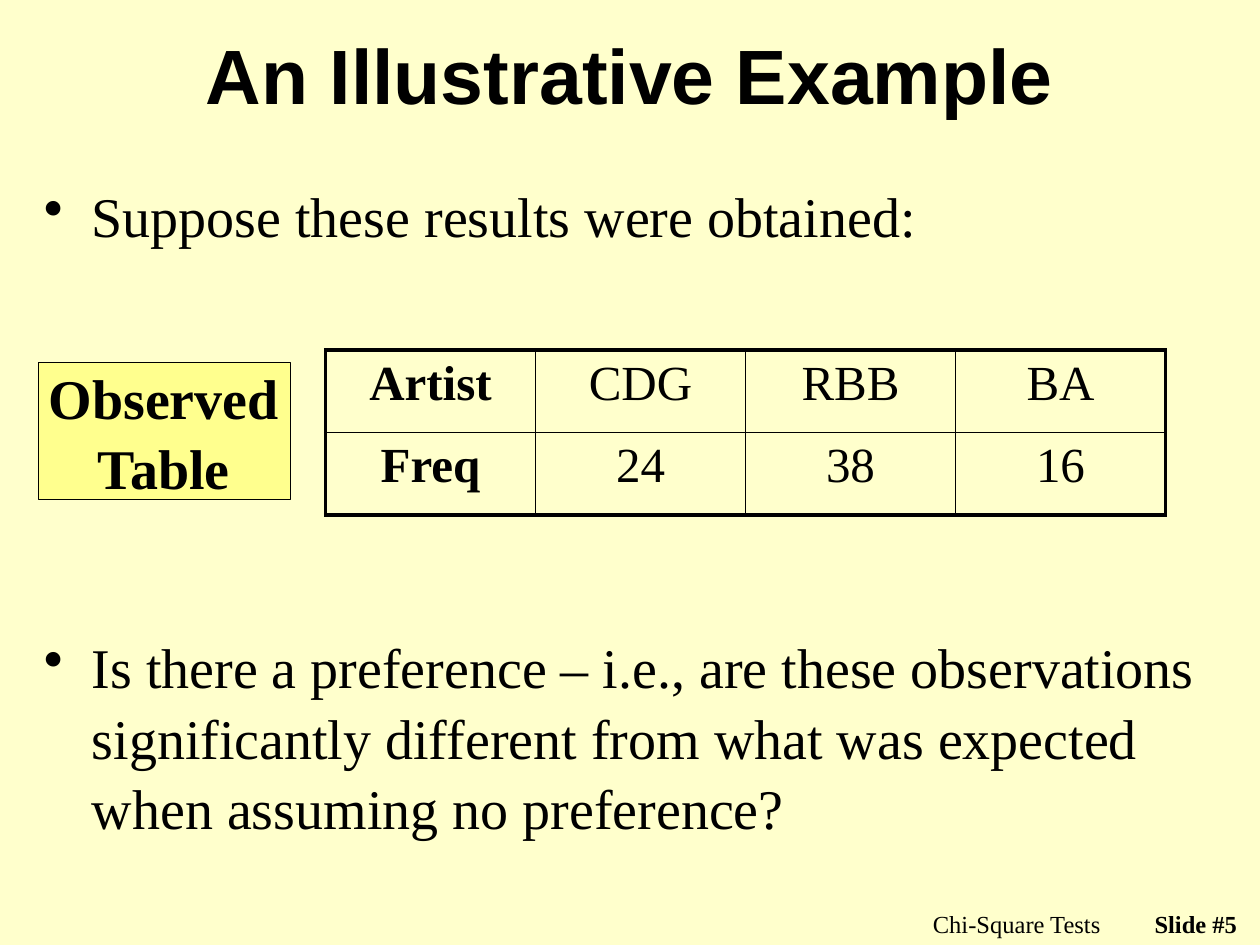
import pptx
import pptx.util
import pptx.dml.color
import pptx.enum.shapes
import pptx.enum.text
import pptx.oxml
import pptx.oxml.ns

HUES = {"page": "FFFFCC", "ink": "000000", "label": "FFFF00"}
ALIGN = pptx.enum.text.PP_ALIGN
ANCHOR = pptx.enum.text.MSO_ANCHOR
NS = pptx.oxml.ns.nsdecls("a")
SERIF = "Times New Roman"

deck = pptx.Presentation()
deck.slide_width = pptx.util.Inches(10)
deck.slide_height = pptx.util.Inches(7.5)
UNIT = deck.slide_width / 120  # the grid has 120 columns and 90 rows


def rgb(name):
    return pptx.dml.color.RGBColor.from_string(HUES[name])


def write(frame, lines, size, align, bold=False, face=SERIF, **form):
    """Fill a text frame; extra values format each paragraph."""
    for i, line in enumerate(lines):
        para = frame.paragraphs[0] if i == 0 else frame.add_paragraph()
        para.text = line
        para.alignment = align
        for key, val in form.items():
            setattr(para, key, val)
        font = para.runs[0].font
        looks = {"name": face, "size": pptx.util.Pt(size), "bold": bold}
        for key, val in looks.items():
            setattr(font, key, val)
        font.color.rgb = rgb("ink")


slide = deck.slides.add_slide(deck.slide_layouts[5])
slide.background.fill.solid()
slide.background.fill.fore_color.rgb = rgb("page")
shapes = slide.shapes

# Title
title = shapes.title
spots = {"left": 9, "top": 2, "width": 102, "height": 10}
for key, val in spots.items():
    setattr(title, key, int(val * UNIT))
title.text_frame.vertical_anchor = ANCHOR.MIDDLE
write(title.text_frame, ["An Illustrative Example"], 44, ALIGN.CENTER,
      True, "Arial")

# Footer
for text, bold, grid in [("Chi-Square Tests", False, (68, 86, 38, 3)),
                         ("Slide #5", True, (106, 86, 13, 2))]:
    box = shapes.add_textbox(*[int(n * UNIT) for n in grid])
    box.text_frame.word_wrap = True
    write(box.text_frame, [text], 14, ALIGN.RIGHT, bold)

# Bullet points above and below the table
points = [
    ("Suppose these results were obtained:", (3, 16, 114, 8)),
    ("Is there a preference – i.e., are these observations significantly "
     "different from what was expected when assuming no preference?",
     (3, 59, 114, 23)),
]
for text, grid in points:
    box = shapes.add_textbox(*[int(n * UNIT) for n in grid])
    box.text_frame.word_wrap = True
    box.text_frame.margin_top = pptx.util.Inches(0.08)
    props = box.text_frame.paragraphs[0]._p.get_or_add_pPr()
    indent = pptx.util.Inches(0.38)
    props.set("marL", str(indent))
    props.set("indent", str(-indent))
    props.append(pptx.oxml.parse_xml(f'<a:buChar {NS} char="•"/>'))
    write(box.text_frame, [text], 32, ALIGN.LEFT, line_spacing=1.05)

# Table of observed counts
rows = [["Artist", "CDG", "RBB", "BA"], ["Freq", "24", "38", "16"]]
grid = (31, 33.35, 80, 15.7)
table = shapes.add_table(2, 4, *[int(n * UNIT) for n in grid]).table
table.first_row = table.horz_banding = False
for r, row in enumerate(rows):
    for c, text in enumerate(row):
        cell = table.cell(r, c)
        write(cell.text_frame, [text], 28, ALIGN.CENTER, c == 0)
        props = cell._tc.get_or_add_tcPr()
        outer = {"L": c == 0, "R": c == 3, "T": r == 0, "B": r == 1}
        for side, thick in outer.items():
            wide = pptx.util.Pt(2.25 if thick else 1)
            props.append(pptx.oxml.parse_xml(
                f'<a:ln{side} {NS} w="{wide}"><a:solidFill>'
                f'<a:srgbClr val="{HUES["ink"]}"/></a:solidFill></a:ln{side}>'))
        cell.fill.background()

# Label beside the table: tinted panel with text on top
grid = (3.7, 34.55, 24, 13)
panel = shapes.add_shape(pptx.enum.shapes.MSO_SHAPE.RECTANGLE,
                         *[int(n * UNIT) for n in grid])
panel.shadow.inherit = False
panel.fill.solid()
panel.fill.fore_color.rgb = rgb("label")
tint = panel._element.spPr.find(".//" + pptx.oxml.ns.qn("a:srgbClr"))
tint.append(pptx.oxml.parse_xml(f'<a:alpha {NS} val="30000"/>'))
panel.line.color.rgb = rgb("ink")
panel.line.width = pptx.util.Pt(0.75)

grid = (3.4, 33.7, 24.4, 14)
label = shapes.add_textbox(*[int(n * UNIT) for n in grid])
label.text_frame.word_wrap = False
label.text_frame.auto_size = pptx.enum.text.MSO_AUTO_SIZE.SHAPE_TO_FIT_TEXT
write(label.text_frame, ["Observed", "Table"], 32, ALIGN.CENTER, True,
      line_spacing=1.05)

deck.save("out.pptx")
